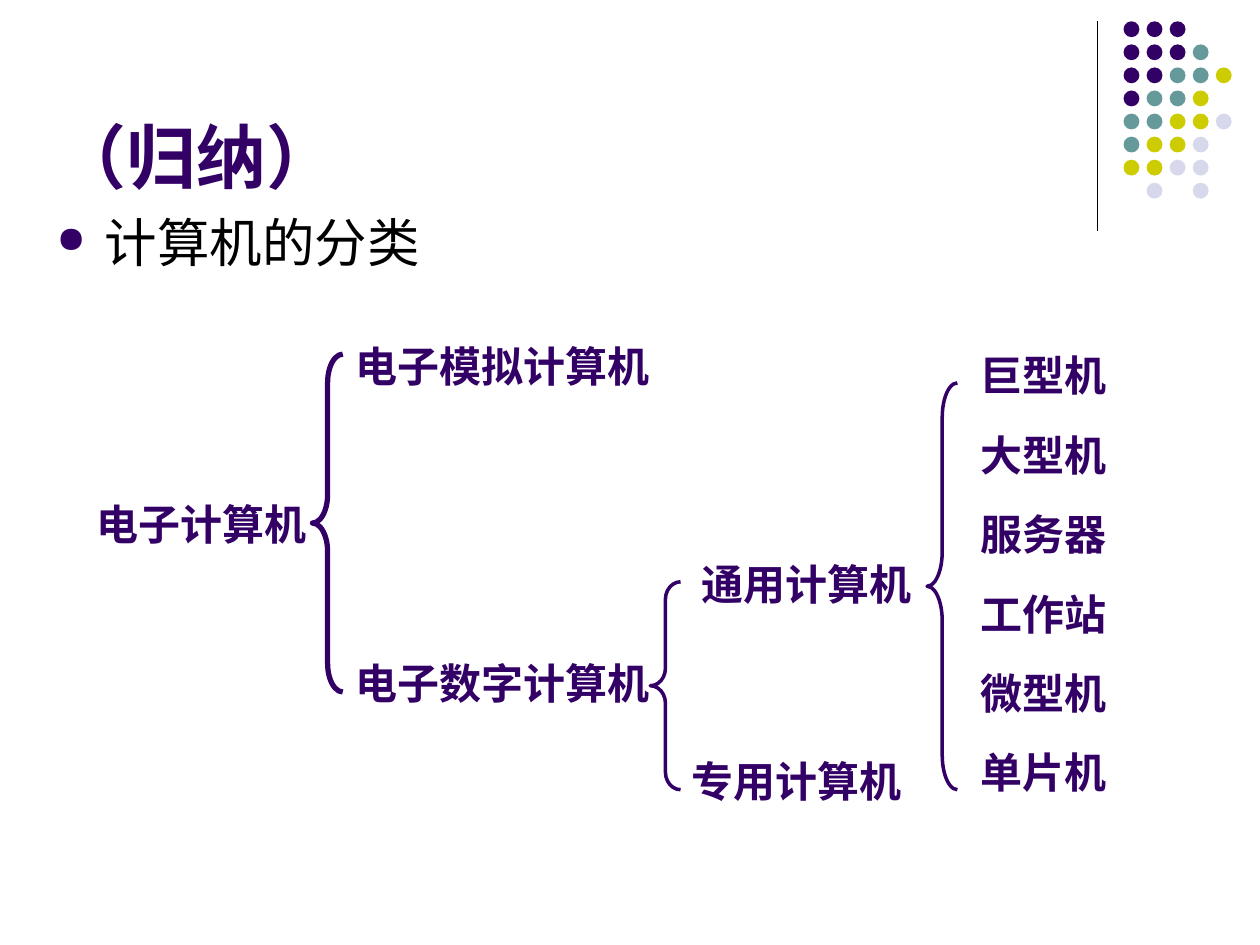
"""Build a slide that sorts computers into classes with a brace tree."""
import pptx
import pptx.dml.color
import pptx.enum.shapes
import pptx.enum.text
import pptx.oxml
import pptx.oxml.ns
import pptx.util

Cm = pptx.util.Cm
SHAPES = pptx.enum.shapes.MSO_SHAPE
ANCHORS = pptx.enum.text.MSO_ANCHOR
PURPLE, TEAL, OLIVE, LILAC, BLACK = "330066", "669999", "CCCC00", "D8D8EC", "000000"


def color(hex_value):
    return pptx.dml.color.RGBColor.from_string(hex_value)


def append_xml(parent, tag, attributes=""):
    namespace = pptx.oxml.ns.nsdecls("a")
    parent.append(pptx.oxml.parse_xml(f"<a:{tag} {namespace} {attributes}/>"))


class SlideBuilder:
    font_name = "Arial"
    label_height = 1.27
    brace_width = 0.61

    def __init__(self, slide):
        self.slide = slide

    def text(self, content, left, top, width, height, size=24, bold=True,
             hex_value=PURPLE, anchor=ANCHORS.TOP):
        shape = self.slide.shapes.add_textbox(Cm(left), Cm(top), Cm(width), Cm(height))
        frame = shape.text_frame
        frame.word_wrap = True
        frame.vertical_anchor = anchor
        paragraph = frame.paragraphs[0]
        run = paragraph.add_run()
        run.text = content
        run.font.color.rgb = color(hex_value)
        style = {"name": self.font_name, "size": pptx.util.Pt(size), "bold": bold}
        for name, value in style.items():
            setattr(run.font, name, value)
        return paragraph

    def label(self, content, left, top, width):
        return self.text(content, left, top, width, self.label_height)

    def bullet(self, content, left, top, width, height):
        paragraph = self.text(content, left, top, width, height, 30, False, BLACK)
        properties = paragraph._p.get_or_add_pPr()
        indent = Cm(0.97)
        properties.set("marL", str(indent))
        properties.set("indent", str(-indent))
        append_xml(properties, "buClr")
        append_xml(properties[-1], "srgbClr", f'val="{PURPLE}"')
        append_xml(properties, "buSzPct", 'val="70000"')
        append_xml(properties, "buChar", 'char="●"')

    def brace(self, left, top, height, curve, weight):
        shape = self.slide.shapes.add_shape(
            SHAPES.LEFT_BRACE, Cm(left), Cm(top), Cm(self.brace_width), Cm(height))
        shape.shadow.inherit = False
        shape.adjustments[0] = curve
        shape.adjustments[1] = 0.5
        shape.fill.background()
        shape.line.color.rgb = color(PURPLE)
        shape.line.width = pptx.util.Pt(weight)

    def dot(self, left, top, hex_value, diameter=0.32):
        shape = self.slide.shapes.add_shape(
            SHAPES.OVAL, Cm(left), Cm(top), Cm(diameter), Cm(diameter))
        shape.shadow.inherit = False
        shape.fill.solid()
        shape.fill.fore_color.rgb = color(hex_value)
        shape.line.fill.background()

    def vertical_line(self, left, top, bottom):
        connector = self.slide.shapes.add_connector(
            pptx.enum.shapes.MSO_CONNECTOR.STRAIGHT, Cm(left), Cm(top), Cm(left), Cm(bottom))
        connector.line.color.rgb = color(BLACK)
        connector.line.width = pptx.util.Pt(0.75)
        append_xml(connector._element.spPr, "effectLst")


def main():
    presentation = pptx.Presentation()
    presentation.slide_width = Cm(25.4)
    presentation.slide_height = Cm(19.05)
    builder = SlideBuilder(presentation.slides.add_slide(presentation.slide_layouts[6]))

    builder.vertical_line(22.12, 0.43, 4.65)
    dot_colors = {"P": PURPLE, "T": TEAL, "O": OLIVE, "L": LILAC}
    dot_rows = ["PPP", "PPPT", "PPTTO", "PTTO", "TTOOL", "TOOL", "OOLL", " L L"]
    pitch = 0.465
    for row, codes in enumerate(dot_rows):
        for column, code in enumerate(codes):
            if code in dot_colors:
                builder.dot(22.65 + column * pitch, 0.43 + row * pitch, dot_colors[code])

    builder.text("（归纳）", 0.89, 1.52, 23.72, 2.59, size=40, anchor=ANCHORS.BOTTOM)
    builder.bullet("计算机的分类", 0.89, 4.11, 23.72, 1.8)

    for brace in [(6.3, 7.14, 6.81, 0.943, 3),
                  (13.11, 11.73, 4.19, 0.578, 2),
                  (18.69, 7.72, 8.2, 1.137, 2)]:
        builder.brace(*brace)

    for label in [("电子计算机", 1.7, 9.93, 5),
                  ("电子模拟计算机", 6.91, 6.73, 7),
                  ("电子数字计算机", 6.91, 13.13, 7),
                  ("通用计算机", 13.89, 11.13, 4.8),
                  ("专用计算机", 13.69, 15.11, 4.8)]:
        builder.label(*label)

    machines = ["巨型机", "大型机", "服务器", "工作站", "微型机", "单片机"]
    for index, machine in enumerate(machines):
        builder.label(machine, 19.51, 6.93 + index * 1.6, 3.4)

    presentation.save("out.pptx")


if __name__ == "__main__":
    main()
